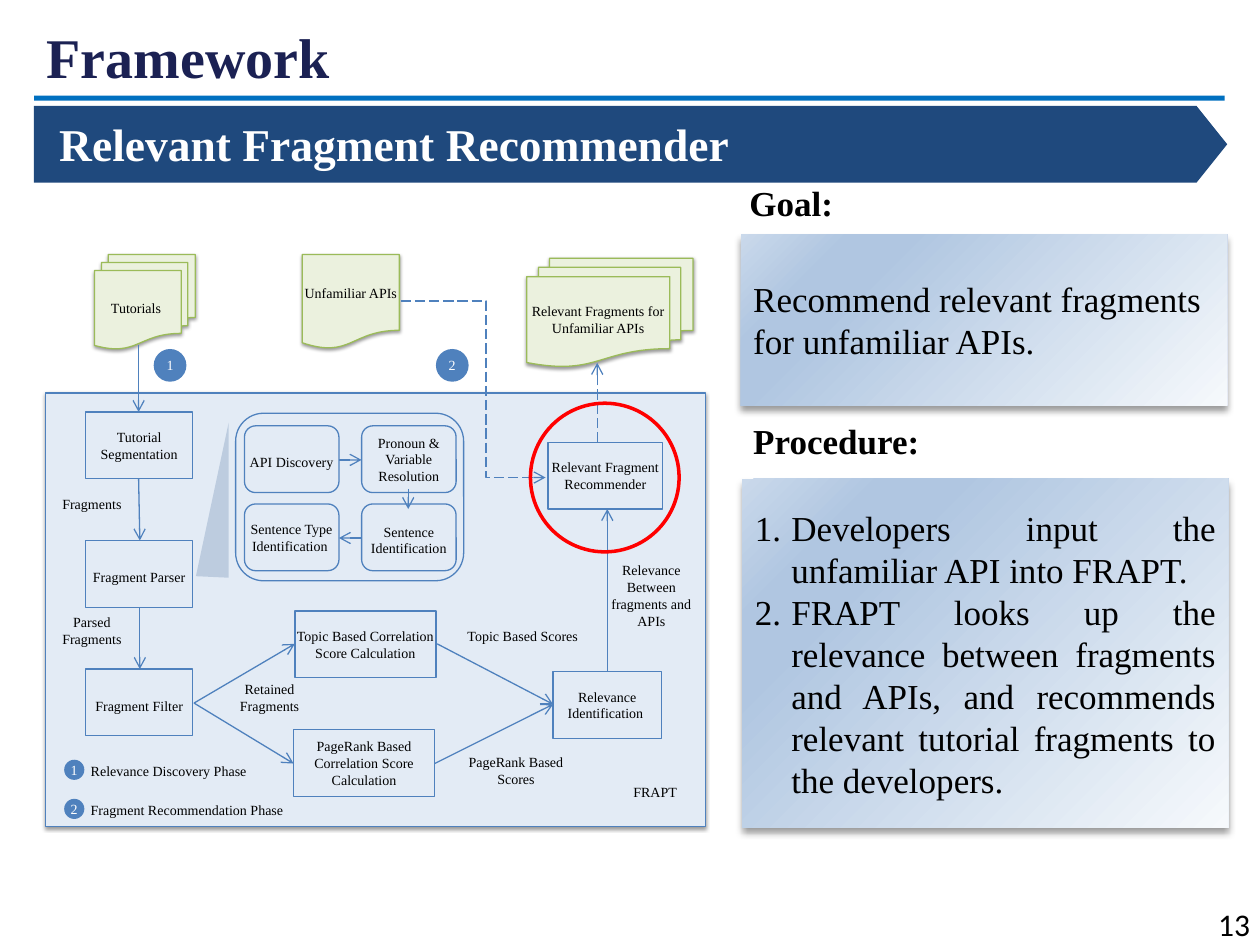
import pptx
import pptx.dml.color
import pptx.enum.dml
import pptx.enum.shapes
import pptx.enum.text
import pptx.oxml.ns
import pptx.util
from collections import namedtuple
from lxml import etree

Inches, Pt = pptx.util.Inches, pptx.util.Pt
RGBColor = pptx.dml.color.RGBColor
SHAPE = pptx.enum.shapes.MSO_SHAPE
CONNECTOR = pptx.enum.shapes.MSO_CONNECTOR
ALIGN = pptx.enum.text.PP_ALIGN
ANCHOR = pptx.enum.text.MSO_ANCHOR
qn = pptx.oxml.ns.qn

FONT = "Times New Roman"
BLACK = RGBColor(0x00, 0x00, 0x00)
WHITE = RGBColor(0xFF, 0xFF, 0xFF)
TITLE_NAVY = RGBColor(0x1B, 0x21, 0x53)
RULE_BLUE = RGBColor(0x00, 0x70, 0xC0)
BANNER_BLUE = RGBColor(0x1F, 0x49, 0x7D)
BLUE = RGBColor(0x4F, 0x81, 0xBD)
PALE_BLUE = RGBColor(0xE3, 0xEB, 0xF5)
WEDGE_BLUE = RGBColor(0x37, 0x60, 0x92)
GREEN = RGBColor(0x9B, 0xBB, 0x59)
PALE_GREEN = RGBColor(0xEB, 0xF1, 0xDE)
RED = RGBColor(0xFF, 0x00, 0x00)
PANEL_STOPS = [(0, RGBColor(0xF6, 0xF9, 0xFC)), (74, RGBColor(0xB0, 0xC6, 0xE1)),
               (83, RGBColor(0xB0, 0xC6, 0xE1)), (100, RGBColor(0xCA, 0xD9, 0xEB))]

Box = namedtuple("Box", "x y w h")


def inside(box, x, y, w, h):
    """Place a part by its offset from the corner of a region."""
    return Box(box.x + x, box.y + y, w, h)


def add_xml(parent, tag, **attrs):
    return etree.SubElement(parent, qn(tag), {k: str(v) for k, v in attrs.items()})


def write(sp, paragraphs, size=8, color=BLACK, bold=False, align=ALIGN.CENTER,
          anchor=ANCHOR.MIDDLE, insets=(0, 0, 0, 0), before=0, font=FONT):
    tf = sp.text_frame
    tf.word_wrap = True
    tf.auto_size = pptx.enum.text.MSO_AUTO_SIZE.NONE
    tf.vertical_anchor = anchor
    tf.margin_left, tf.margin_top, tf.margin_right, tf.margin_bottom = map(Inches, insets)
    for i, text in enumerate(paragraphs):
        p = tf.add_paragraph() if i else tf.paragraphs[0]
        p.alignment = align
        p.space_before = Pt(before)
        r = p.add_run()
        r.text = text
        r.font.name, r.font.size, r.font.bold = font, Pt(size), bold
        r.font.color.rgb = color
    return sp


def add_text(s, box, paragraphs, **style):
    return write(s.shapes.add_textbox(*map(Inches, box)), paragraphs, **style)


def add_shape(s, kind, box, fill=None, line=None, width=0.75):
    sp = s.shapes.add_shape(kind, *map(Inches, box))
    sp.shadow.inherit = False
    if fill is None:
        sp.fill.background()
    else:
        sp.fill.solid()
        sp.fill.fore_color.rgb = fill
    if line is None:
        sp.line.fill.background()
    else:
        sp.line.color.rgb = line
        sp.line.width = Pt(width)
    return sp


def add_shadow(sp, blur, dist):
    sp.shadow.inherit = False
    effects = sp._element.spPr.find(qn("a:effectLst"))
    shadow = add_xml(effects, "a:outerShdw", blurRad=Pt(blur), dist=Pt(dist),
                     dir=5400000, rotWithShape=0)
    add_xml(add_xml(shadow, "a:srgbClr", val=BLACK), "a:alpha", val=40000)


def fill_panel(sp):
    """Radial gradient spreading from the bottom right corner, with a shadow."""
    sp.fill.solid()
    spPr = sp._element.spPr
    grad = etree.Element(qn("a:gradFill"), rotWithShape="1")
    stops = add_xml(grad, "a:gsLst")
    for pos, color in PANEL_STOPS:
        add_xml(add_xml(stops, "a:gs", pos=pos * 1000), "a:srgbClr", val=color)
    add_xml(add_xml(grad, "a:path", path="circle"), "a:fillToRect", l=100000, t=100000)
    spPr.replace(spPr.find(qn("a:solidFill")), grad)
    add_shadow(sp, 4, 3)


def add_arrow(s, box, start, end, dashed=False, bend=None):
    ends = [box.x + start[0], box.y + start[1], box.x + end[0], box.y + end[1]]
    kind = CONNECTOR.STRAIGHT if bend is None else CONNECTOR.ELBOW
    c = s.shapes.add_connector(kind, *map(Inches, ends))
    c.line.color.rgb = BLUE
    c.line.width = Pt(0.75)
    if dashed:
        c.line.dash_style = pptx.enum.dml.MSO_LINE.LONG_DASH
    spPr = c._element.spPr
    add_xml(spPr.find(qn("a:ln")), "a:tailEnd", type="arrow")
    add_xml(spPr, "a:effectLst")
    if bend is not None:
        add_xml(spPr.find(".//" + qn("a:avLst")), "a:gd", name="adj1",
                fmla=f"val {round(bend * 100000)}")


def header(s, box):
    title = s.shapes.title
    title.left, title.top, title.width, title.height = map(
        Inches, inside(box, 0, 0, 8.11, 0.63))
    write(title, ["Framework"], size=32, color=TITLE_NAVY, bold=True,
          align=ALIGN.LEFT, insets=(0.1, 0.05, 0.1, 0.05))
    add_shape(s, SHAPE.RECTANGLE, inside(box, 0, 0.63, 9.45, 0.04), RULE_BLUE)
    banner = add_shape(s, SHAPE.PENTAGON, inside(box, 0, 0.71, box.w, 0.61), BANNER_BLUE)
    banner.adjustments[0] = 0.4
    add_text(s, inside(box, 0.2, 0.8, 8.38, 0.42), ["Relevant Fragment Recommender"],
             size=26, color=WHITE, bold=True, align=ALIGN.LEFT)


def documents(s, box):
    for kind, place, text in [
            (SHAPE.FLOWCHART_MULTIDOCUMENT, (0.4, 0.02, 0.8, 0.75), "Tutorials "),
            (SHAPE.FLOWCHART_DOCUMENT, (2.05, 0.02, 0.77, 0.75), "Unfamiliar APIs"),
            (SHAPE.FLOWCHART_MULTIDOCUMENT, (3.83, 0.05, 1.32, 0.86),
             "Relevant Fragments for Unfamiliar APIs")]:
        sp = add_shape(s, kind, inside(box, *place), PALE_GREEN, GREEN)
        add_shadow(sp, 2, 1)
        write(sp, [text])


def steps(s, box):
    step_h = 0.53
    column = ["Tutorial Segmentation", "Fragment Parser", "Fragment Filter"]
    boxes = [(0.33, 1.27 + 1.02 * i, 0.85, text, 0.05 if i else 0)
             for i, text in enumerate(column)]
    boxes += [(1.99, 2.85, 1.12, "Topic Based Correlation Score Calculation", 0),
              (1.98, 3.79, 1.12, "PageRank Based Correlation Score Calculation", 0),
              (4.04, 3.33, 0.86, "Relevance Identification ", 0),
              (4.0, 1.51, 0.91, "Relevant Fragment Recommender", 0)]
    for x, y, w, text, top in boxes:
        sp = add_shape(s, SHAPE.RECTANGLE, inside(box, x, y, w, step_h), line=BLUE)
        write(sp, [text], insets=(0, top, 0, 0))


def parser_detail(s, box):
    """The four sub-steps of the fragment parser and the wedge leading to them."""
    wedge = add_shape(s, SHAPE.ISOSCELES_TRIANGLE, inside(box, -0.8, 0.56, 1.23, 0.26), WEDGE_BLUE)
    wedge.adjustments[0] = 0.01
    wedge.rotation = 270
    add_xml(wedge._element.spPr.find(".//" + qn("a:srgbClr")), "a:alpha", val=22000)
    add_shape(s, SHAPE.ROUNDED_RECTANGLE, box, line=BLUE)
    parts = [("API Discovery", 0.04), ("Pronoun & Variable Resolution", 0),
             ("Sentence Type Identification ", 0), ("Sentence Identification", 0.04)]
    for i, (text, top) in enumerate(parts):
        row, col = divmod(i, 2)
        place = inside(box, 0.07 + 0.93 * col, 0.1 + 0.62 * row, 0.75, 0.53)
        sp = add_shape(s, SHAPE.FLOWCHART_ALTERNATE_PROCESS, place, line=BLUE)
        write(sp, [text], insets=(0, top, 0, 0))
    for start, end in [((0.82, 0.37), (1, 0.37)), ((1.37, 0.6), (1.37, 0.76)),
                       ((1, 0.99), (0.82, 0.99))]:
        add_arrow(s, box, start, end)


def flow_arrows(s, box):
    for start, end in [((0.75, 0.74), (0.75, 1.27)), ((0.75, 1.8), (0.76, 2.29)),
                       ((0.76, 2.82), (0.76, 3.31)), ((1.19, 3.58), (1.99, 3.11)),
                       ((1.19, 3.58), (1.98, 4.06)), ((3.12, 3.11), (4.04, 3.59)),
                       ((3.1, 4.06), (4.04, 3.59)), ((4.47, 3.33), (4.47, 2.04))]:
        add_arrow(s, box, start, end)
    add_arrow(s, box, (4.39, 1.51), (4.39, 0.88), dashed=True)
    add_arrow(s, box, (2.83, 0.39), (3.98, 1.79), dashed=True, bend=0.59)


def labels(s, box):
    for x, y, w, *text in [
            (0, 1.93, 0.76, "Fragments"), (0, 2.87, 0.76, "Parsed", "Fragments"),
            (1.37, 3.4, 0.84, "Retained Fragments"), (3.28, 2.98, 1.04, "Topic Based Scores"),
            (3.27, 3.98, 0.95, "PageRank Based Scores"), (4.41, 4.22, 0.88, "FRAPT"),
            (4.47, 2.46, 0.7, "Relevance Between fragments and APIs")]:
        add_text(s, inside(box, x, y, w, 0.37), text, anchor=ANCHOR.TOP)
    for y, text in [(4.05, "Relevance Discovery Phase"), (4.36, "Fragment Recommendation Phase")]:
        add_text(s, inside(box, 0.37, y, 1.76, 0.2), [text], align=ALIGN.LEFT, anchor=ANCHOR.TOP)
    for x, y, size, number in [(0.87, 0.77, 0.26, "1"), (3.11, 0.77, 0.26, "2"),
                               (0.16, 4.03, 0.16, "1"), (0.16, 4.34, 0.16, "2")]:
        sp = add_shape(s, SHAPE.OVAL, inside(box, x, y, size, size), BLUE)
        write(sp, [number], color=WHITE)


def diagram(s, box):
    frame = add_shape(s, SHAPE.RECTANGLE, inside(box, 0.01, 1.12, 5.24, 3.44), PALE_BLUE, BLUE)
    add_shadow(frame, 2, 1)
    documents(s, box)
    steps(s, box)
    parser_detail(s, inside(box, 1.52, 1.28, 1.81, 1.33))
    flow_arrows(s, box)
    labels(s, box)
    add_shape(s, SHAPE.OVAL, inside(box, 3.86, 1.2, 1.18, 1.18), line=RED, width=2)


def side_panels(s, box):
    style = dict(size=20, align=ALIGN.JUSTIFY, insets=(0.1, 0.05, 0.1, 0.05))
    for x, y, text in [(0, 0, "Goal:"), (0.03, 1.89, "Procedure:")]:
        add_text(s, inside(box, x, y, 1.67, 0.49), [text], bold=True,
                 anchor=ANCHOR.TOP, before=2, **style)
    goal = add_shape(s, SHAPE.RECTANGLE, inside(box, 0.03, 0.47, 3.86, 1.36))
    fill_panel(goal)
    write(goal, ["Recommend relevant fragments", "for unfamiliar APIs."], **style)

    body = s.placeholders[1]
    body.left, body.top, body.width, body.height = map(
        Inches, inside(box, 0.04, 2.41, 3.86, 2.77))
    fill_panel(body)
    write(body, ["Developers input the unfamiliar API into FRAPT. ",
                 "FRAPT looks up the relevance between fragments and APIs, and "
                 "recommends relevant tutorial fragments to the developers."], **style)
    for p in body.text_frame.paragraphs:
        pPr = p._p.get_or_add_pPr()
        pPr.set("marL", str(Inches(0.29)))
        pPr.set("indent", str(Inches(-0.29)))
        add_xml(pPr, "a:buFont", typeface="+mj-lt")
        add_xml(pPr, "a:buAutoNum", type="arabicPeriod")


def main():
    prs = pptx.Presentation()
    prs.slide_width, prs.slide_height = Inches(10), Inches(7.5)
    s = prs.slides.add_slide(prs.slide_layouts[1])
    header(s, Box(0.27, 0.13, 9.47, 1.32))
    diagram(s, Box(0.35, 2, 5.25, 4.56))
    side_panels(s, Box(5.85, 1.39, 3.9, 5.18))
    add_text(s, Box(9.57, 7.13, 0.43, 0.4 - 0.03), ["13"], size=18, font="Calibri",
             align=ALIGN.LEFT, anchor=ANCHOR.TOP, insets=(0.1, 0.05, 0, 0))
    prs.save("out.pptx")


if __name__ == "__main__":
    main()
